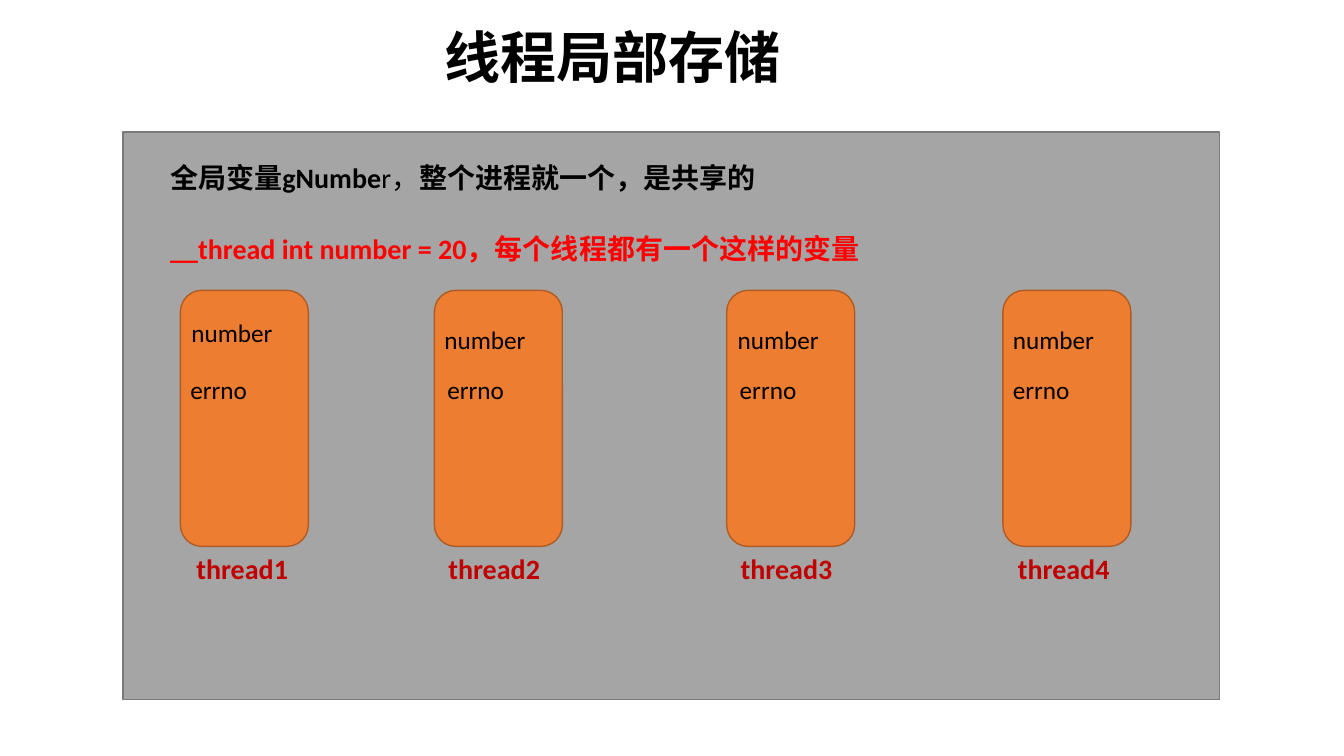
from dataclasses import dataclass

from pptx import Presentation
from pptx.dml.color import RGBColor
from pptx.enum.shapes import MSO_SHAPE
from pptx.enum.text import MSO_ANCHOR, MSO_AUTO_SIZE, PP_ALIGN
from pptx.util import Pt

RECT = MSO_SHAPE.RECTANGLE
ROUND = MSO_SHAPE.ROUNDED_RECTANGLE
TOP = MSO_ANCHOR.TOP
LEFT = PP_ALIGN.LEFT
NO_FIT = MSO_AUTO_SIZE.NONE

BLACK, RED, DARK = "000000", "FF0000", "C00000"
LABEL_W = 87.5


@dataclass
class Thread:
    name: str
    box_x: float
    num_x: float
    num_y: float
    err_x: float
    name_x: float


THREADS = [
    Thread("thread1", 128.9, 129.6, 223.2, 128.9, 133.2),
    Thread("thread2", 310.3, 310.3, 228.2, 312.5, 313.2),
    Thread("thread3", 519.1, 519.8, 228.2, 521.3, 522),
    Thread("thread4", 716.4, 716.4, 228.2, 716.4, 720),
]


def rgb(code: str) -> RGBColor:
    return RGBColor.from_string(code)


def style(run, size: float, color: str, bold: bool, font: str = "Calibri") -> None:
    run.font.size = Pt(size)
    run.font.name = font
    run.font.bold = bold
    run.font.color.rgb = rgb(color)


def add_box(slide, kind, x: float, y: float, w: float, h: float,
            fill: str, line: str) -> None:
    box = slide.shapes.add_shape(kind, Pt(x), Pt(y), Pt(w), Pt(h))
    box.shadow.inherit = False
    box.fill.solid()
    box.fill.fore_color.rgb = rgb(fill)
    box.line.color.rgb = rgb(line)
    box.line.width = Pt(1)


def add_text(slide, x: float, y: float, w: float, h: float,
             parts: list[tuple[str, bool]], size: float, color: str) -> None:
    frame = slide.shapes.add_textbox(Pt(x), Pt(y), Pt(w), Pt(h)).text_frame
    frame.word_wrap = True
    for text, bold in parts:
        run = frame.paragraphs[0].add_run()
        run.text = text
        style(run, size, color, bold)


def add_title(slide, text: str) -> None:
    title = slide.shapes.title
    title.left, title.top = Pt(310.3), Pt(12.2)
    title.width, title.height = Pt(390.2), Pt(55.4)
    frame = title.text_frame
    frame.text = text
    frame.vertical_anchor = TOP
    frame.auto_size = NO_FIT
    frame.paragraphs[0].alignment = LEFT
    style(frame.paragraphs[0].runs[0], 40, BLACK, True, "Arial")


def main() -> None:
    deck = Presentation()
    deck.slide_width, deck.slide_height = Pt(960), Pt(540)
    slide = deck.slides.add_slide(deck.slide_layouts[5])
    add_title(slide, "线程局部存储")

    # Process panel and its two statements
    add_box(slide, RECT, 87.8, 94.3, 783.4, 405.4, "A5A5A5", "7A7A7A")
    add_text(slide, 114.5, 110.9, 539.3, 31.7,
             [("全局变量gNumbe", True), ("r，", False),
              ("整个进程就一个，是共享的", True)], 20, BLACK)
    add_text(slide, 114.5, 162, 553.7, 31.7,
             [("__thread int number = 20，每个线程都有一个这样的变量", True)],
             20, RED)

    # One column per thread
    for item in THREADS:
        add_box(slide, ROUND, item.box_x, 207.4, 91.4, 182.9, "ED7D31", "AF5C24")
        add_text(slide, item.num_x, item.num_y, LABEL_W, 28.8,
                 [("number", False)], 18, BLACK)
        add_text(slide, item.err_x, 264.2, LABEL_W, 28.8,
                 [("errno", False)], 18, BLACK)
        add_text(slide, item.name_x, 390.2, LABEL_W, 31.7,
                 [(item.name, True)], 20, DARK)

    deck.save("out.pptx")


if __name__ == "__main__":
    main()
